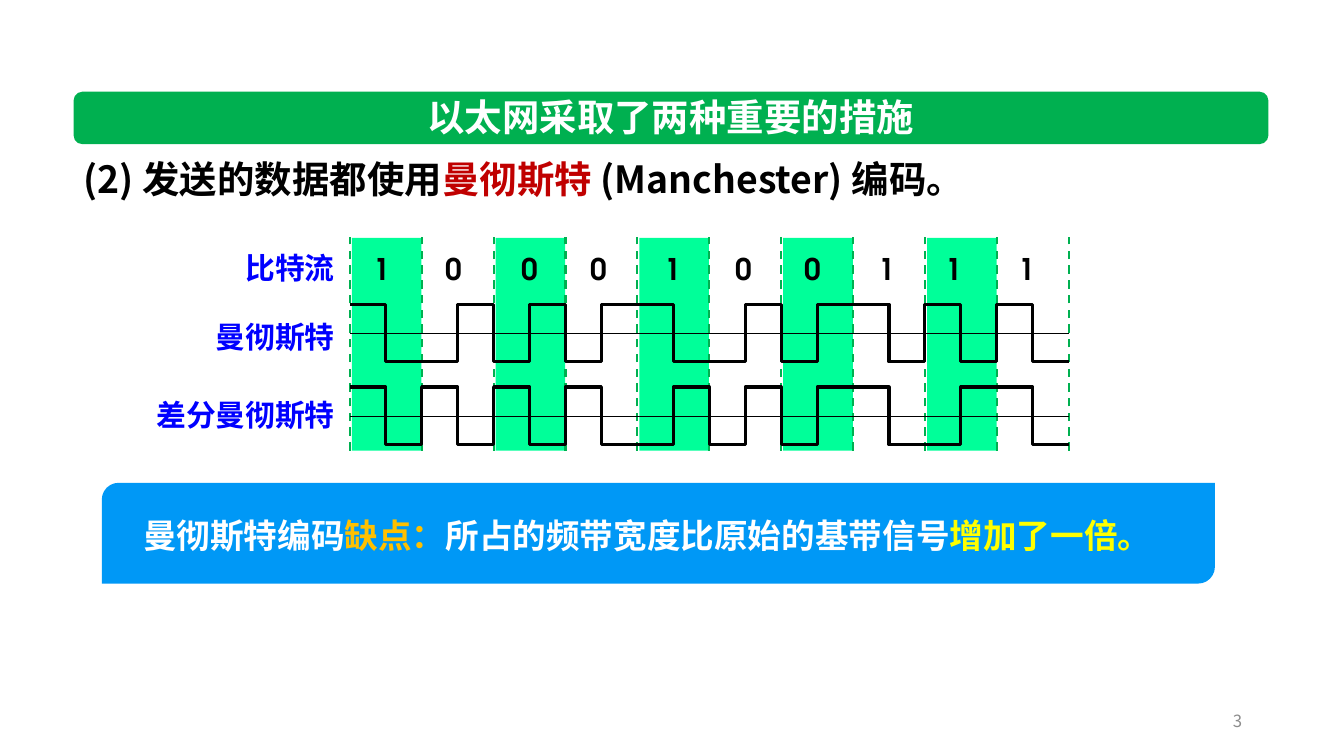
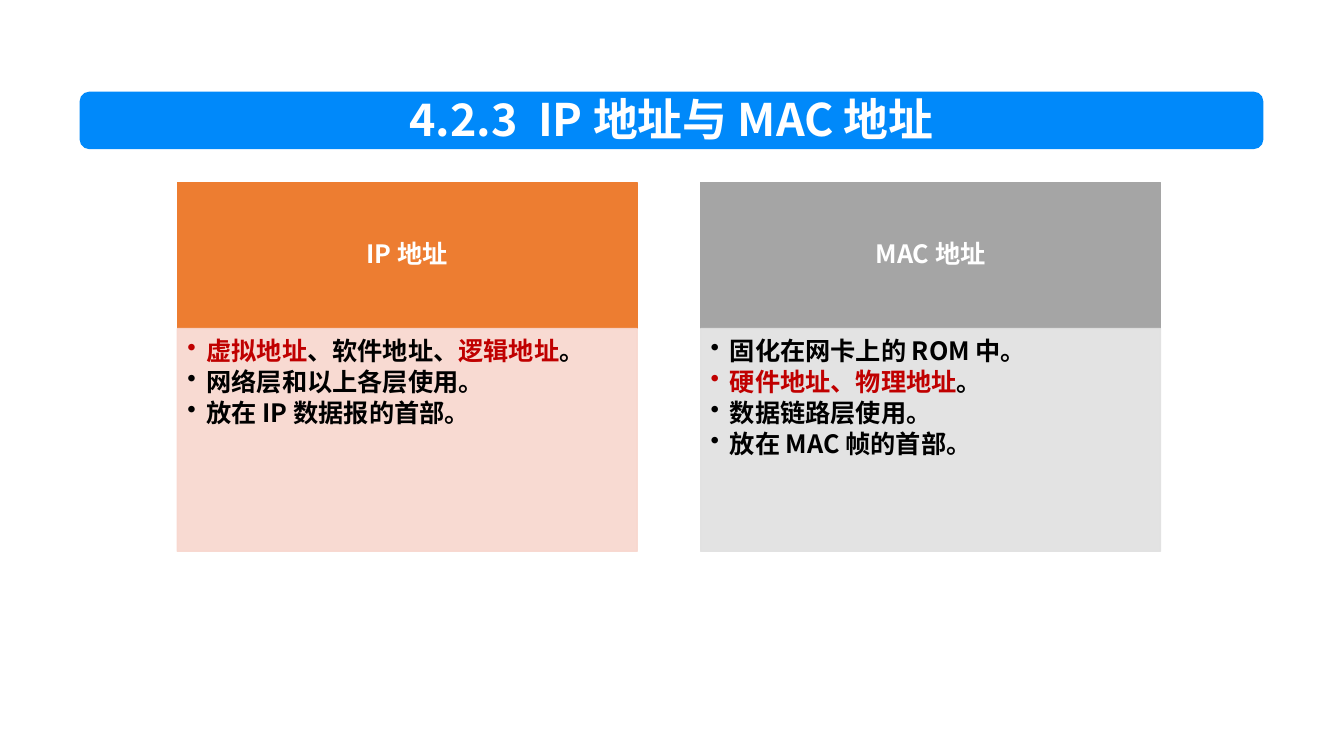
from pptx import Presentation
from pptx.dml.color import RGBColor
from pptx.enum.dml import MSO_LINE
from pptx.enum.shapes import MSO_CONNECTOR, MSO_SHAPE
from pptx.enum.text import MSO_ANCHOR, MSO_AUTO_SIZE, PP_ALIGN
from pptx.oxml.ns import qn
from pptx.util import Inches, Pt
from lxml.etree import SubElement


class Theme:
    font, digit = "Noto Sans CJK SC", "TeX Gyre Adventor"
    black, white, red, gray = "000000", "FFFFFF", "C00000", "8C8C8C"
    green, mint, navy = "00B050", "00FF99", "0000FF"
    sky, azure, amber, yellow = "0098F6", "0089FA", "FFC000", "FFFF00"
    orange, peach, steel, pale = "ED7D31", "F8D7CE", "A5A5A5", "E1E1E1"
    head, title, note, label, body, foot = 32, 26.7, 24, 21.3, 18, 12


def write(frame, lines, size, align=PP_ALIGN.LEFT, anchor=MSO_ANCHOR.TOP,
          inset=(0.1, 0.05, 0.1, 0.05), spacing=None, after=None, bullet=False,
          bold=True, face=Theme.font):
    """Fill a text frame; each line is a list of (text, colour) runs."""
    left, top, right, bottom = map(Inches, inset)
    layout = {"word_wrap": True, "auto_size": MSO_AUTO_SIZE.NONE,
              "vertical_anchor": anchor, "margin_left": left,
              "margin_top": top, "margin_right": right, "margin_bottom": bottom}
    for key, value in layout.items():
        setattr(frame, key, value)
    for i, line in enumerate(lines):
        para = frame.add_paragraph() if i else frame.paragraphs[0]
        props = para._p.get_or_add_pPr()
        if after:
            gap = SubElement(props, qn("a:spcAft"))
            SubElement(gap, qn("a:spcPct"), val=str(after * 1000))
        if bullet:
            props.set("marL", str(Inches(0.19)))
            props.set("indent", str(-Inches(0.19)))
            SubElement(props, qn("a:buChar"), char="•")
        para.alignment = align
        para.line_spacing = spacing
        for text, color in line:
            run = para.add_run()
            run.text = text
            for key, value in {"size": Pt(size), "bold": bold, "name": face}.items():
                setattr(run.font, key, value)
            run.font.color.rgb = RGBColor.from_string(color)
            SubElement(run._r.get_or_add_rPr(), qn("a:ea"), typeface=face)


def block(slide, kind, box, color, edge=False, alpha=None):
    """Add a flat filled shape, with an outline of its own colour if asked."""
    shape = slide.shapes.add_shape(kind, *map(Inches, box))
    shape.shadow.inherit = False
    fills = [shape.fill]
    if edge:
        shape.line.width = Pt(1)
        fills.append(shape.line.fill)
    else:
        shape.line.fill.background()
    for fill in fills:
        fill.solid()
        fill.fore_color.rgb = RGBColor.from_string(color)
    if alpha:
        for tint in shape.element.spPr.iter(qn("a:srgbClr")):
            SubElement(tint, qn("a:alpha"), val=str(alpha * 1000))
    return shape


deck = Presentation()
deck.slide_width, deck.slide_height = Inches(13.33), Inches(7.5)

# Title bands
bands = [
    ("以太网采取了两种重要的措施", Theme.title, Theme.green,
     (0.73, 0.91, 11.85, 0.52), 0.88),
    ("4.2.3  IP 地址与 MAC 地址", Theme.head, Theme.azure,
     (0.79, 0.91, 11.74, 0.57), 0.86),
]
pages = []
for text, size, color, box, top in bands:
    page = deck.slides.add_slide(deck.slide_layouts[5])
    band = block(page, MSO_SHAPE.ROUNDED_RECTANGLE, box, color)
    title = page.shapes.title
    spot = {"left": box[0], "top": top, "width": box[2], "height": 0.64}
    for key, value in spot.items():
        setattr(title, key, Inches(value))
    write(title.text_frame, [[(text, Theme.white)]], size, PP_ALIGN.CENTER)
    band.element.addnext(title.element)
    pages.append(page)
code, address = pages

# Slide 1: lead sentence
lead = code.shapes.add_textbox(*map(Inches, (0.73, 1.44, 11.19, 0.57)))
write(lead.text_frame, [[("(2) 发送的数据都使用", Theme.black),
                         ("曼彻斯特 ", Theme.red),
                         ("(Manchester) 编码。", Theme.black)]],
      Theme.title, spacing=Pt(36))

# Striped cells, one per bit
bits = "1000100111"
start, end = 3.47, 10.6
cell = (end - start) / len(bits)
for i in range(0, len(bits), 2):
    block(code, MSO_SHAPE.RECTANGLE,
          (start + i * cell + 0.02, 2.36, 0.69, 2.11), Theme.mint)

# Dashed cell borders and the two axes
rules = [(start + i * cell, 4.47, start + i * cell, 2.35, Theme.green, 1.5,
          MSO_LINE.DASH) for i in range(len(bits) + 1)]
rules += [(start, y, end, y, Theme.black, 1, MSO_LINE.SOLID) for y in (3.31, 4.13)]
for *ends, color, width, dash in rules:
    rule = code.shapes.add_connector(MSO_CONNECTOR.STRAIGHT, *map(Inches, ends))
    rule.line.color.rgb = RGBColor.from_string(color)
    rule.line.width = Pt(width)
    rule.line.dash_style = dash
    SubElement(rule.element.spPr, qn("a:effectLst"))

# Row labels and bit values
pad = (0.13, 0.06, 0.13, 0.06)
for text, top in (("比特流", 2.42), ("曼彻斯特", 3.1), ("差分曼彻斯特", 3.88)):
    label = code.shapes.add_textbox(*map(Inches, (0.73, top, 2.72, 0.49)))
    write(label.text_frame, [[(text, Theme.navy)]], Theme.label,
          PP_ALIGN.RIGHT, inset=pad)
lefts = (3.57, 4.29, 5.04, 5.73, 6.46, 7.17, 7.85, 8.58, 9.25, 9.97)
for bit, left in zip(bits, lefts):
    digit = code.shapes.add_textbox(*map(Inches, (left, 2.43, 0.44, 0.49)))
    write(digit.text_frame, [[(bit, Theme.black)]], Theme.label,
          inset=pad, face=Theme.digit)

# Signal level in each half cell: a 0 flips the differential code at the start
plain, diff = [], []
level = True
for bit in bits:
    plain += [bit == "1", bit == "0"]
    if bit == "0":
        level = not level
    diff += [level, not level]
    level = not level

# Waveforms
for levels, top in ((plain, 3.02), (diff, 3.84)):
    points = []
    for i, high in enumerate(levels):
        y = top if high else top + 0.57
        points += [(Inches(start + k * cell / 2), Inches(y)) for k in (i, i + 1)]
    pen = code.shapes.build_freeform(*points[0])
    pen.add_line_segments(points[1:], close=False)
    wave = pen.convert_to_shape()
    wave.shadow.inherit = False
    wave.fill.background()
    wave.line.color.rgb = RGBColor.from_string(Theme.black)
    wave.line.width = Pt(2.25)

# Drawback note and slide number
block(code, MSO_SHAPE.ROUND_2_DIAG_RECTANGLE, (1.01, 4.79, 11.04, 1), Theme.sky)
note = code.shapes.add_textbox(*map(Inches, (1.32, 4.96, 10.88, 0.56)))
write(note.text_frame, [[("曼彻斯特编码", Theme.white), ("缺点：", Theme.amber),
                         ("所占的频带宽度比原始的基带信号", Theme.white),
                         ("增加了一倍。", Theme.yellow)]],
      Theme.note, spacing=Pt(36))
number = code.shapes.add_textbox(*map(Inches, (9.42, 6.95, 3, 0.4)))
write(number.text_frame, [[("3", Theme.gray)]], Theme.foot, PP_ALIGN.RIGHT,
      MSO_ANCHOR.MIDDLE, bold=False)

# Slide 2: two cards side by side
cards = [
    ("IP 地址", Theme.orange, Theme.peach, [
        [("虚拟地址", Theme.red), ("、软件地址、", Theme.black),
         ("逻辑地址", Theme.red), ("。", Theme.black)],
        [("网络层和以上各层使用。", Theme.black)],
        [("放在 IP 数据报的首部。", Theme.black)]]),
    ("MAC 地址", Theme.steel, Theme.pale, [
        [("固化在网卡上的 ROM 中。", Theme.black)],
        [("硬件地址、物理地址", Theme.red), ("。", Theme.black)],
        [("数据链路层使用。", Theme.black)],
        [("放在 MAC 帧的首部。", Theme.black)]]),
]
for i, (name, dark, light, lines) in enumerate(cards):
    left = 1.76 + i * 5.19
    head = block(address, MSO_SHAPE.RECTANGLE, (left, 1.81, 4.56, 1.45), dark, True)
    write(head.text_frame, [[(name, Theme.white)]], Theme.body, PP_ALIGN.CENTER,
          MSO_ANCHOR.MIDDLE, (0.14, 0.08, 0.14, 0.08), 0.9, 35)
    body = block(address, MSO_SHAPE.RECTANGLE, (left, 3.26, 4.56, 2.21), light,
                 True, 90)
    write(body.text_frame, lines, Theme.body, inset=(0.1, 0.1, 0.14, 0.16),
          spacing=0.9, after=15, bullet=True)

deck.save("out.pptx")
